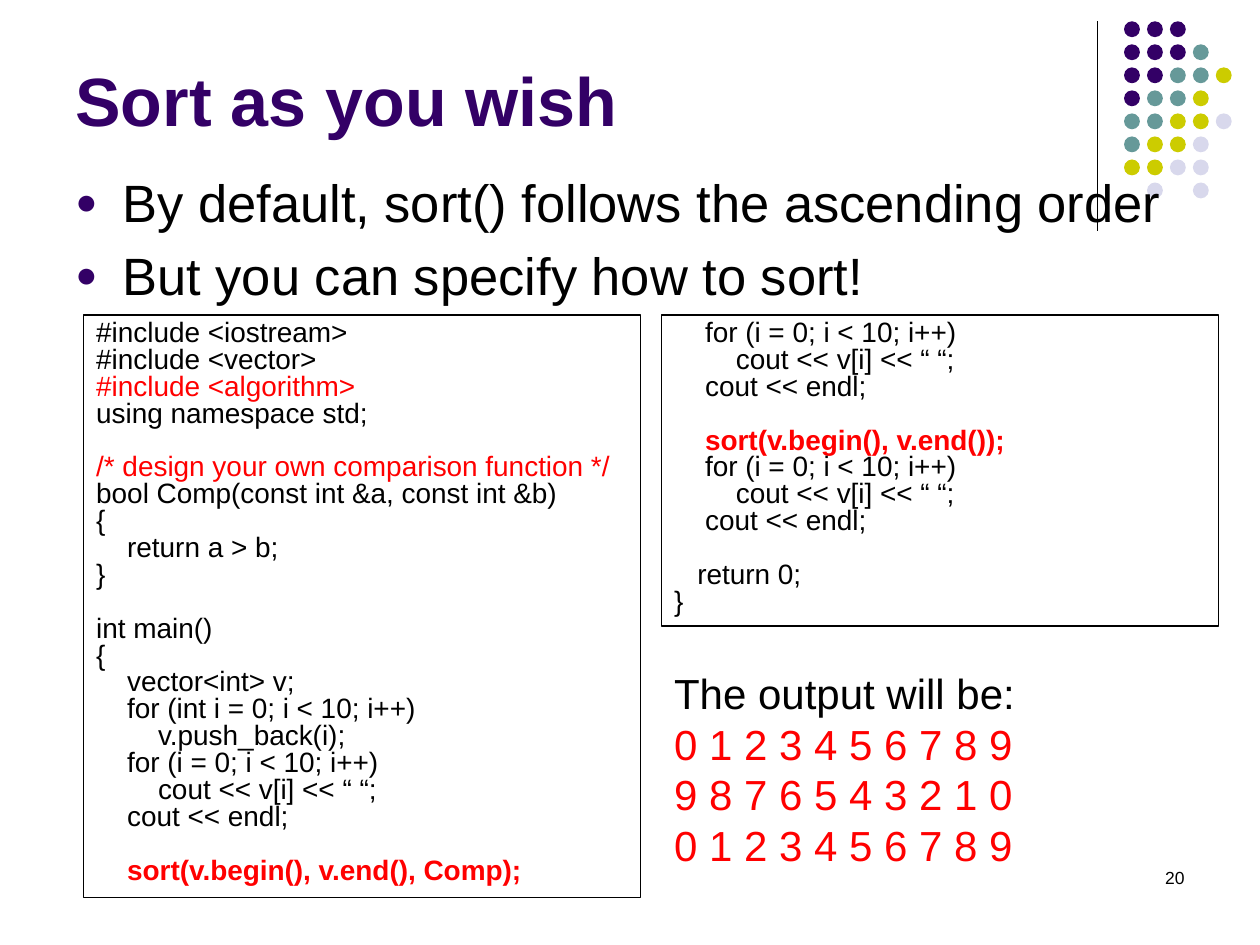
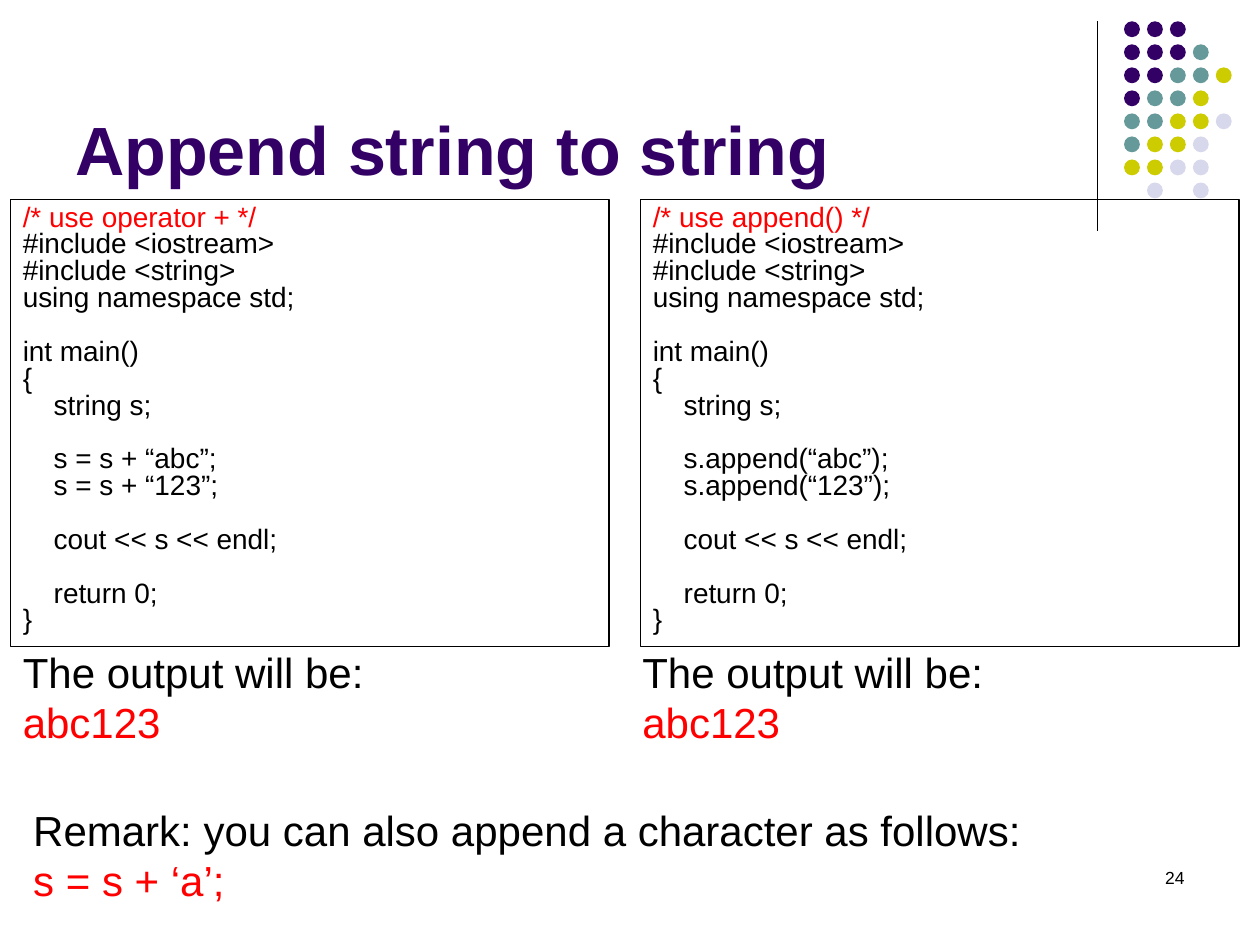
from lxml import etree
from pptx import Presentation
from pptx.dml.color import RGBColor
from pptx.enum.shapes import MSO_CONNECTOR, MSO_SHAPE
from pptx.enum.text import MSO_ANCHOR, PP_ALIGN
from pptx.oxml.ns import qn
from pptx.util import Cm, Pt

STRAIGHT, OVAL, RECT = MSO_CONNECTOR.STRAIGHT, MSO_SHAPE.OVAL, MSO_SHAPE.RECTANGLE
TOP, BOTTOM = MSO_ANCHOR.TOP, MSO_ANCHOR.BOTTOM
LEFT, RIGHT = PP_ALIGN.LEFT, PP_ALIGN.RIGHT


class Theme:
    font = "Arial"
    purple, teal, olive, lilac = "330066", "669999", "CCCC00", "D8D8EC"
    black, red = "000000", "FF0000"
    rule = Pt(0.75)
    title = {"size": Pt(39), "bold": True}
    body = {"size": Pt(30)}
    output = {"size": Pt(24)}
    code = {"size": Pt(16)}
    number = {"size": Pt(10)}
    code_spacing = 0.8
    code_blank = Pt(15.3)  # height of one empty code line
    bullet_gap = Pt(6)


# Content: a line is plain text or (text, format); "" is an empty code line
RED = {"color": Theme.red}
RED_BOLD = {"color": Theme.red, "bold": True}

PRINT_VECTOR = [
    "    for (i = 0; i < 10; i++)",
    "        cout << v[i] << “ “;",
    "    cout << endl;",
    "",
]
SORT_START = [
    "#include <iostream>",
    "#include <vector>",
    ("#include <algorithm>", RED),
    "using namespace std;",
    "",
    ("/* design your own comparison function */", RED),
    "bool Comp(const int &a, const int &b)",
    "{",
    "    return a > b;",
    "}",
    "",
    "int main()",
    "{",
    "    vector<int> v;",
    "    for (int i = 0; i < 10; i++)",
    "        v.push_back(i);",
    *PRINT_VECTOR,
    ("    sort(v.begin(), v.end(), Comp);", RED_BOLD),
]
SORT_END = [
    *PRINT_VECTOR,
    ("    sort(v.begin(), v.end());", RED_BOLD),
    *PRINT_VECTOR,
    "   return 0;",
    "}",
]


def append_program(comment, statements):
    return [
        (comment, RED),
        "#include <iostream>",
        "#include <string>",
        "using namespace std;",
        "",
        "int main()",
        "{",
        "    string s;",
        "",
        *statements,
        "",
        "    cout << s << endl;",
        "",
        "    return 0;",
        "}",
    ]


def output(*results, heading="The output will be:"):
    return [heading, *((result, RED) for result in results)]


ASCENDING, DESCENDING = "0 1 2 3 4 5 6 7 8 9", "9 8 7 6 5 4 3 2 1 0"

# Places are left, top, width, height in centimetres
SLIDES = [
    {
        "title": "Sort as you wish",
        "title_top": -0.64,
        "number": "20",
        "bullets": ["By default, sort() follows the ascending order",
                    "But you can specify how to sort!"],
        "code": [((1.69, 6.35, 11.22, 11.75), SORT_START),
                 ((13.34, 6.35, 11.22, 6.27), SORT_END)],
        "outputs": [((13.34, 13.34, 9.1, 4.37),
                     output(ASCENDING, DESCENDING, ASCENDING), True)],
    },
    {
        "title": "Append string to string",
        "title_top": 0.33,
        "number": "24",
        "bullets": [],
        "code": [((0.21, 4.02, 12.07, 9.01),
                  append_program("/* use operator + */",
                                 ["    s = s + “abc”;", "    s = s + “123”;"])),
                 ((12.91, 4.02, 12.07, 9.01),
                  append_program("/* use append() */",
                                 ["    s.append(“abc”);", "    s.append(“123”);"]))],
        "outputs": [
            ((0.21, 12.91, 11.22, 2.31), output("abc123"), True),
            ((12.7, 12.91, 11.22, 2.31), output("abc123"), True),
            ((0.42, 16.09, 20.62, 2.31),
             output("s = s + ‘a’;",
                    heading="Remark: you can also append a character as follows:"), False),
        ],
    },
]

# Corner ornament, one letter per dot
DOT_ROWS = ["PPP", "PPPT", "PPTTO", "PTTO", "TTOOL", "TOOL", "OOLL", " L L"]
DOT_COLORS = {"P": Theme.purple, "T": Theme.teal, "O": Theme.olive, "L": Theme.lilac}
DOT_LEFT, DOT_TOP, DOT_SIZE = 22.66, 0.43, 0.32
DOT_STEP_X, DOT_STEP_Y = 1.85 / 4, 3.25 / 7


def rgb(color):
    return RGBColor.from_string(color)


def apply_format(target, values):
    for attribute, value in values.items():
        setattr(target, attribute, value)


def write_lines(frame, lines, style, color=Theme.black, wrap=True, anchor=TOP,
                paragraph_format=None):
    """Fill a frame; an empty line becomes space before the next one."""
    apply_format(frame, {"word_wrap": wrap, "vertical_anchor": anchor})
    paragraph, skipped = None, 0
    for line in lines:
        if not line:
            skipped += 1
            continue
        text, extra = (line, {}) if isinstance(line, str) else line
        paragraph = frame.add_paragraph() if paragraph is not None else frame.paragraphs[0]
        apply_format(paragraph, {"alignment": LEFT, **(paragraph_format or {})})
        if skipped:
            paragraph.space_before = Theme.code_blank * skipped
            skipped = 0
        run = paragraph.add_run()
        run.text = text
        values = {"name": Theme.font, "bold": False, **style, **extra}
        run.font.color.rgb = rgb(values.pop("color", color))
        apply_format(run.font, values)


def add_text(slide, place, lines, style, **options):
    box = slide.shapes.add_textbox(*map(Cm, place))
    write_lines(box.text_frame, lines, style, **options)
    return box.text_frame


def add_ornament(slide):
    divider = slide.shapes.add_connector(STRAIGHT, Cm(22.12), Cm(0.43), Cm(22.12), Cm(4.65))
    divider.line.color.rgb = rgb(Theme.black)
    divider.line.width = Theme.rule
    etree.SubElement(divider._element.spPr, qn("a:effectLst"))

    dots = slide.shapes.add_group_shape()
    for row, letters in enumerate(DOT_ROWS):
        for column, letter in enumerate(letters):
            if letter == " ":
                continue
            dot = dots.shapes.add_shape(
                OVAL, Cm(DOT_LEFT + column * DOT_STEP_X), Cm(DOT_TOP + row * DOT_STEP_Y),
                Cm(DOT_SIZE), Cm(DOT_SIZE))
            dot.shadow.inherit = False
            dot.fill.solid()
            dot.fill.fore_color.rgb = rgb(DOT_COLORS[letter])
            dot.line.fill.background()


def add_bullets(slide, bullets):
    frame = add_text(slide, (1.27, 3.3, 22.86, 3.28), bullets, Theme.body)
    for index, paragraph in enumerate(frame.paragraphs):
        if index:
            paragraph.space_before = Theme.bullet_gap
        properties = paragraph._p.get_or_add_pPr()
        properties.set("marL", str(Cm(0.95)))
        properties.set("indent", str(-Cm(0.95)))
        bullet_color = etree.SubElement(properties, qn("a:buClr"))
        etree.SubElement(bullet_color, qn("a:srgbClr"), val=Theme.purple)
        etree.SubElement(properties, qn("a:buSzPct"), val="70000")
        etree.SubElement(properties, qn("a:buFont"), typeface=Theme.font)
        etree.SubElement(properties, qn("a:buChar"), char="●")


def add_code(slide, place, lines):
    panel = slide.shapes.add_shape(RECT, *map(Cm, place))
    panel.shadow.inherit = False
    panel.fill.background()
    panel.line.color.rgb = rgb(Theme.black)
    panel.line.width = Theme.rule
    write_lines(panel.text_frame, lines, Theme.code,
                paragraph_format={"line_spacing": Theme.code_spacing})


def build_slide(deck, content):
    slide = deck.slides.add_slide(deck.slide_layouts[6])
    add_ornament(slide)
    add_text(slide, (1.27, content["title_top"], 20.96, 3.6), [content["title"]],
             Theme.title, color=Theme.purple, anchor=BOTTOM)
    if content["bullets"]:
        add_bullets(slide, content["bullets"])
    add_text(slide, (18.2, 17.36, 5.93, 1.27), [content["number"]], Theme.number,
             paragraph_format={"alignment": RIGHT})
    for place, lines in content["code"]:
        add_code(slide, place, lines)
    for place, lines, wrap in content["outputs"]:
        add_text(slide, place, lines, Theme.output, wrap=wrap)


def main():
    deck = Presentation()
    apply_format(deck, {"slide_width": Cm(25.4), "slide_height": Cm(19.05)})
    for content in SLIDES:
        build_slide(deck, content)
    deck.save("out.pptx")


if __name__ == "__main__":
    main()
